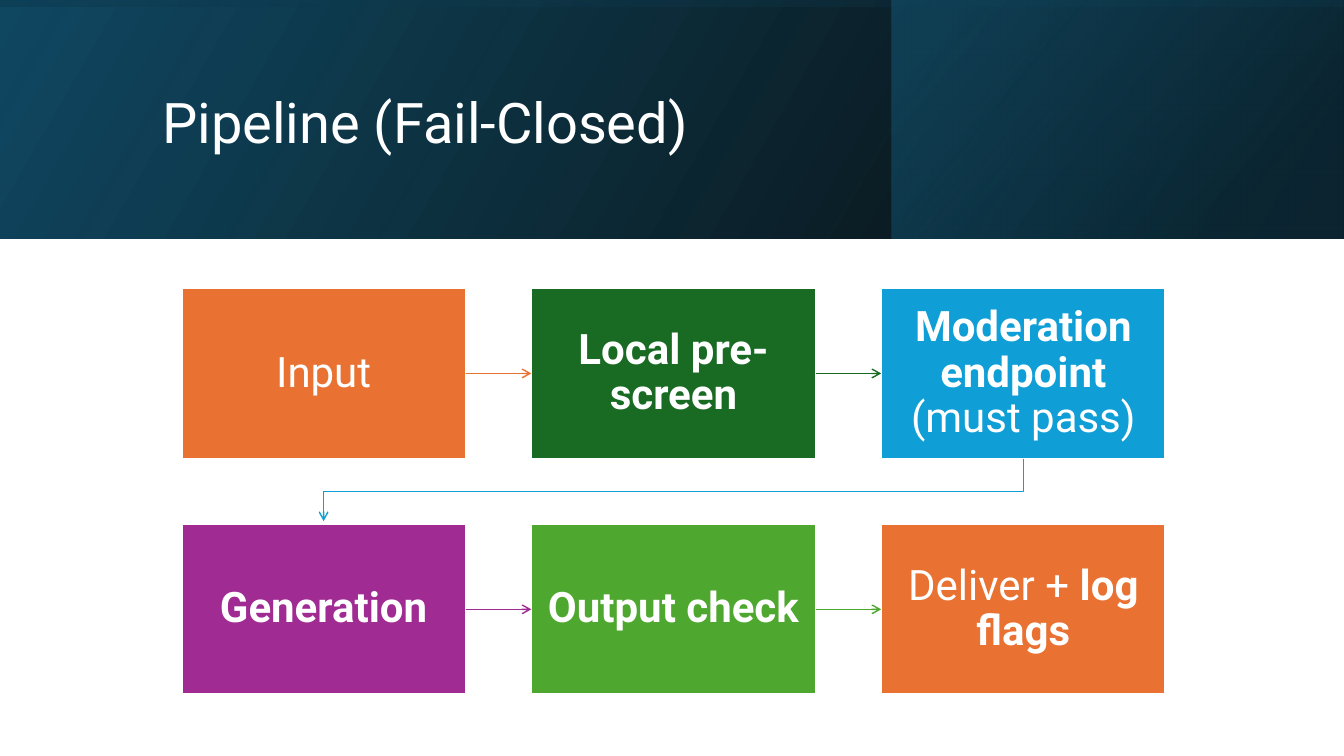
import pptx
import pptx.dml.color
import pptx.enum.shapes
import pptx.enum.text
import pptx.oxml
import pptx.oxml.ns
import pptx.util

WIDTH, HEIGHT = 13.33, 7.5
HEADER_HEIGHT = 2.37
FONT = "Roboto"
WHITE = "FFFFFF"
DRAWING_NS = pptx.oxml.ns.nsdecls("a")
BOX = pptx.enum.shapes.MSO_SHAPE.RECTANGLE

# Each step: fill colour and its text runs as (text, bold)
STEPS = [
    ("E97132", [("Input", False)]),
    ("196B24", [("Local pre-screen", True)]),
    ("0F9ED5", [("Moderation endpoint", True), (" (must pass)", False)]),
    ("A02B93", [("Generation", True)]),
    ("4EA72E", [("Output check", True)]),
    ("E97132", [("Deliver + ", False), ("log flags", True)]),
]
COLUMNS = 3

# Each band: box, rotation, angle and stops as (position, colour, opacity) in %
BANDS = [
    ((0, 0, WIDTH, HEADER_HEIGHT), 0, 330,
     [(0, "000000", 96), (100, "104862", 100)]),
    ((8.84, 0, 4.48, HEADER_HEIGHT), 0, 320,
     [(19, "0B3041", 68), (100, "156082", 48)]),
    (((WIDTH - HEADER_HEIGHT) / 2, (HEADER_HEIGHT - WIDTH) / 2, HEADER_HEIGHT, WIDTH),
     270, 350, [(23, "104862", 16), (99, "000000", 45)]),
]


def inches(*lengths):
    return [pptx.util.Inches(length) for length in lengths]


def rgb(colour):
    return pptx.dml.color.RGBColor.from_string(colour)


def write(shape, runs, size, align="LEFT", insets=(0.1, 0.05)):
    frame = shape.text_frame
    frame.word_wrap = True
    frame.auto_size = pptx.enum.text.MSO_AUTO_SIZE.NONE
    frame.vertical_anchor = pptx.enum.text.MSO_ANCHOR.MIDDLE
    frame.margin_left = frame.margin_right = pptx.util.Inches(insets[0])
    frame.margin_top = frame.margin_bottom = pptx.util.Inches(insets[1])
    paragraph = frame.paragraphs[0]
    paragraph.alignment = getattr(pptx.enum.text.PP_ALIGN, align)
    paragraph.line_spacing = 0.9
    for text, bold in runs:
        run = paragraph.add_run()
        run.text = text
        run.font.name = FONT
        run.font.size = pptx.util.Pt(size)
        run.font.bold = bold
        run.font.color.rgb = rgb(WHITE)


def fill_gradient(shape, angle, stops):
    shape.fill.gradient()
    gradient = shape.element.spPr.find(pptx.oxml.ns.qn("a:gradFill"))
    stop_xml = "".join(
        f'<a:gs pos="{position * 1000}"><a:srgbClr val="{colour}">'
        f'<a:alpha val="{opacity * 1000}"/></a:srgbClr></a:gs>'
        for position, colour, opacity in stops)
    gradient.getparent().replace(gradient, pptx.oxml.parse_xml(
        f'<a:gradFill {DRAWING_NS} rotWithShape="1"><a:gsLst>{stop_xml}</a:gsLst>'
        f'<a:lin ang="{angle * 60000}" scaled="0"/></a:gradFill>'))


def style_arrow(arrow, colour):
    arrow.line.color.rgb = rgb(colour)
    arrow.line.width = pptx.util.Pt(1)
    line = arrow.line._get_or_add_ln()
    line.append(pptx.oxml.parse_xml(f'<a:tailEnd {DRAWING_NS} type="arrow"/>'))
    properties = arrow.element.spPr
    if properties.find(pptx.oxml.ns.qn("a:effectLst")) is None:
        properties.append(pptx.oxml.parse_xml(f"<a:effectLst {DRAWING_NS}/>"))


def add_header(slide):
    for box, rotation, angle, stops in BANDS:
        band = slide.shapes.add_shape(BOX, *inches(*box))
        band.shadow.inherit = False
        band.rotation = rotation
        band.element.spPr.xfrm.set("flipH", "1")
        band.line.fill.background()
        fill_gradient(band, angle, stops)
    title = slide.shapes.title
    title.left, title.top, title.width, title.height = inches(1.51, 0.38, 10.63, 1.72)
    write(title, [("Pipeline (Fail-Closed)", False)], size=40)
    title.element.getparent().append(title.element)  # in front of the bands


def add_step(slide, box, colour, runs):
    step = slide.shapes.add_shape(BOX, *inches(*box))
    step.shadow.inherit = False
    step.fill.solid()
    step.fill.fore_color.rgb = rgb(colour)
    step.line.color.rgb = rgb(WHITE)
    step.line.width = pptx.util.Pt(1.5)
    write(step, runs, size=30, align="CENTER", insets=(0.14, 0.15))
    return step


def join_in_row(slide, source, target, colour):
    arrow = slide.shapes.add_connector(
        pptx.enum.shapes.MSO_CONNECTOR.STRAIGHT, 0, 0, 0, 0)
    arrow.begin_connect(source, 3)
    arrow.end_connect(target, 1)
    style_arrow(arrow, colour)


def join_to_next_row(slide, source, target, colour):
    start_x = source.left + source.width // 2
    end_x = target.left + target.width // 2
    start_y = source.top + source.height
    end_y = target.top - pptx.util.Inches(0.03)
    middle_y = (start_y + target.top) // 2
    route = slide.shapes.build_freeform(start_x, start_y)
    route.add_line_segments(
        [(start_x, middle_y), (end_x, middle_y), (end_x, end_y)], close=False)
    arrow = route.convert_to_shape()
    arrow.shadow.inherit = False
    arrow.fill.background()
    style_arrow(arrow, colour)


def add_pipeline(slide, left, top, width, height):
    """Lay the steps out row by row and join each one to the next."""
    step_width, step_height = 2.82, 1.69
    column_pitch = (width - step_width) / (COLUMNS - 1)
    row_pitch = height - step_height
    boxes = []
    for index, (colour, runs) in enumerate(STEPS):
        row, column = divmod(index, COLUMNS)
        box = (left + column * column_pitch, top + row * row_pitch,
               step_width, step_height)
        boxes.append(add_step(slide, box, colour, runs))
    for index, (source, target) in enumerate(zip(boxes, boxes[1:])):
        row_ends = (index + 1) % COLUMNS == 0
        join = join_to_next_row if row_ends else join_in_row
        join(slide, source, target, STEPS[index][0])


def main():
    deck = pptx.Presentation()
    deck.slide_width, deck.slide_height = inches(WIDTH, HEIGHT)
    slide = deck.slides.add_slide(deck.slide_layouts[5])
    add_header(slide)
    add_pipeline(slide, left=1.8, top=2.86, width=9.76, height=4.03)
    deck.save("out.pptx")


if __name__ == "__main__":
    main()
